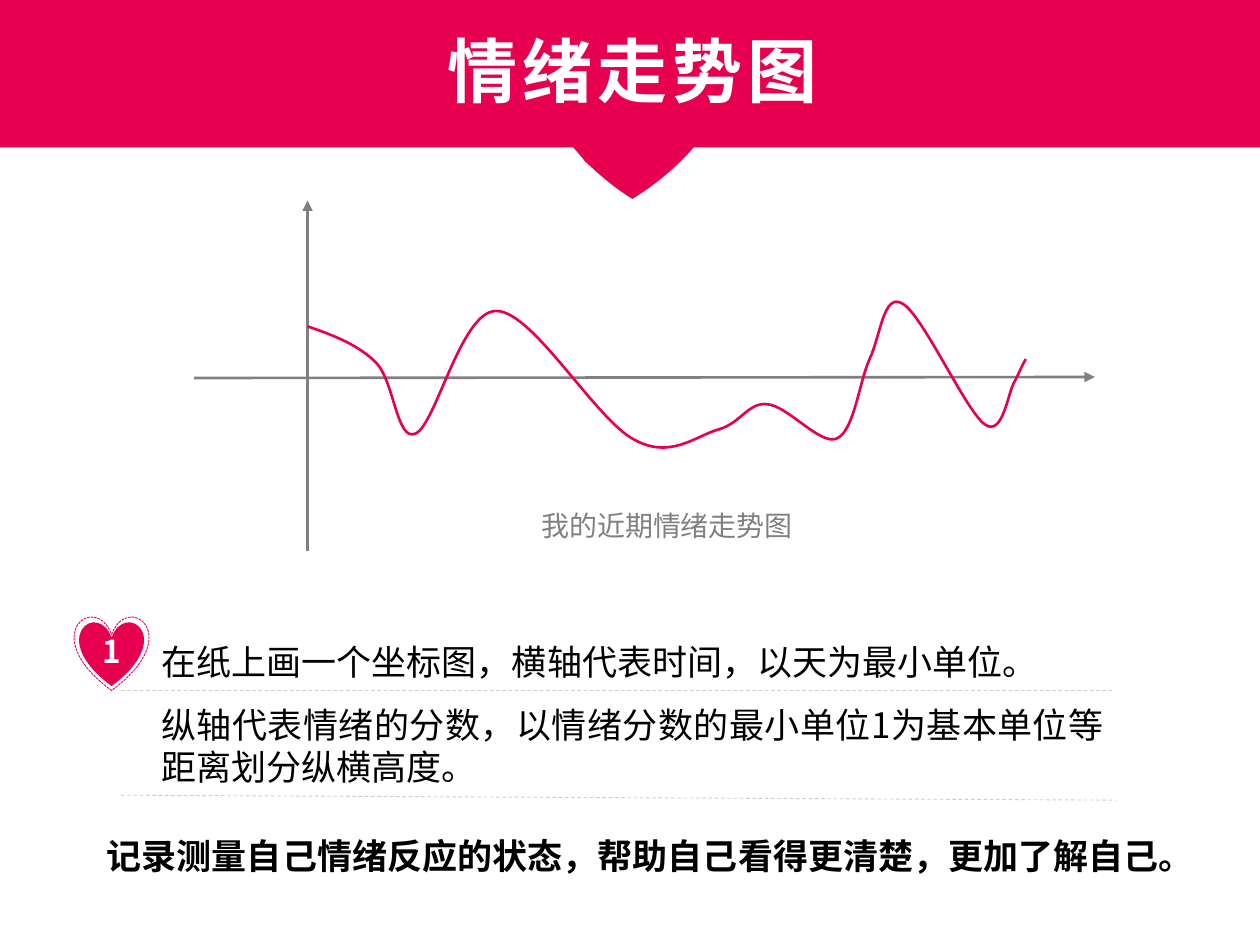
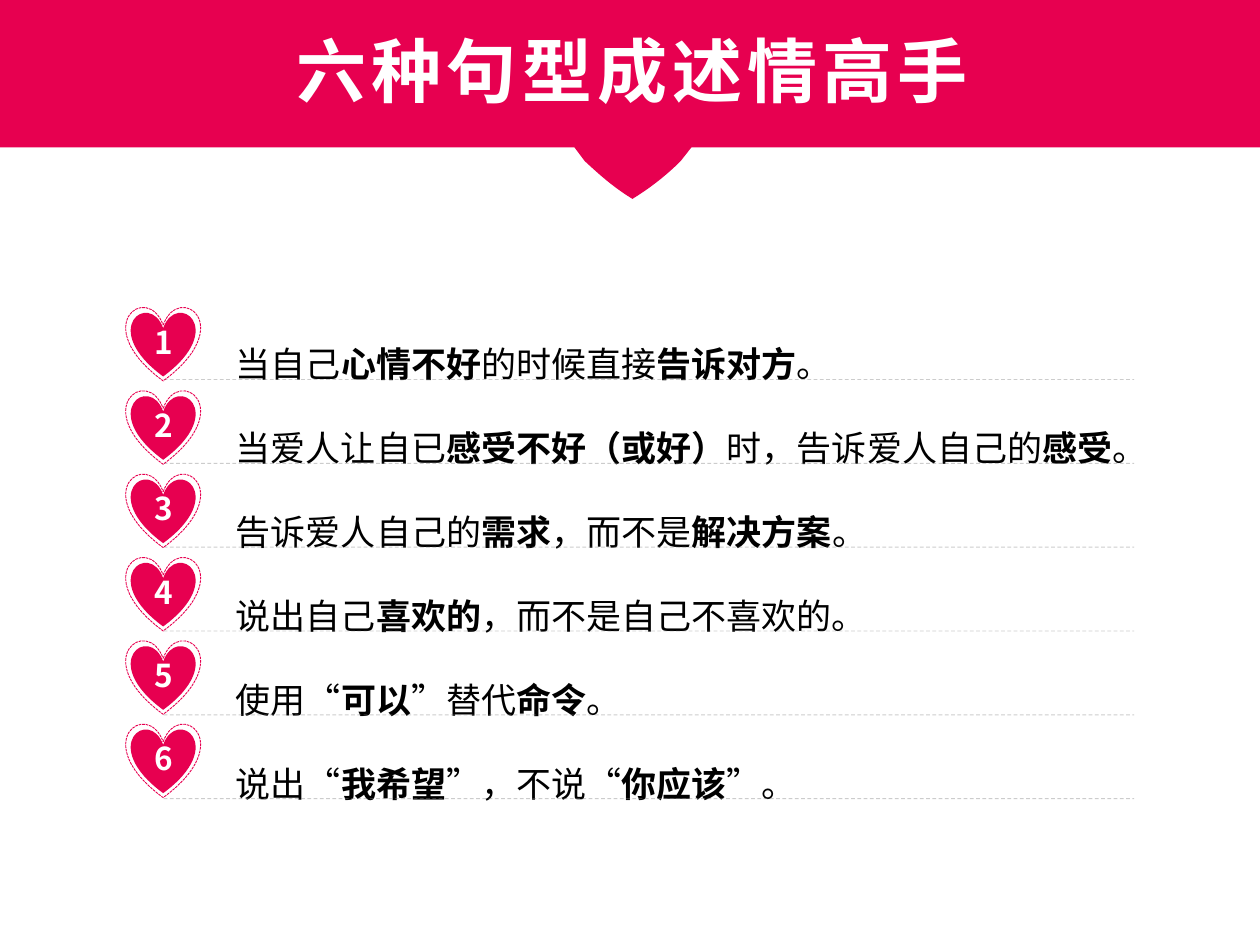
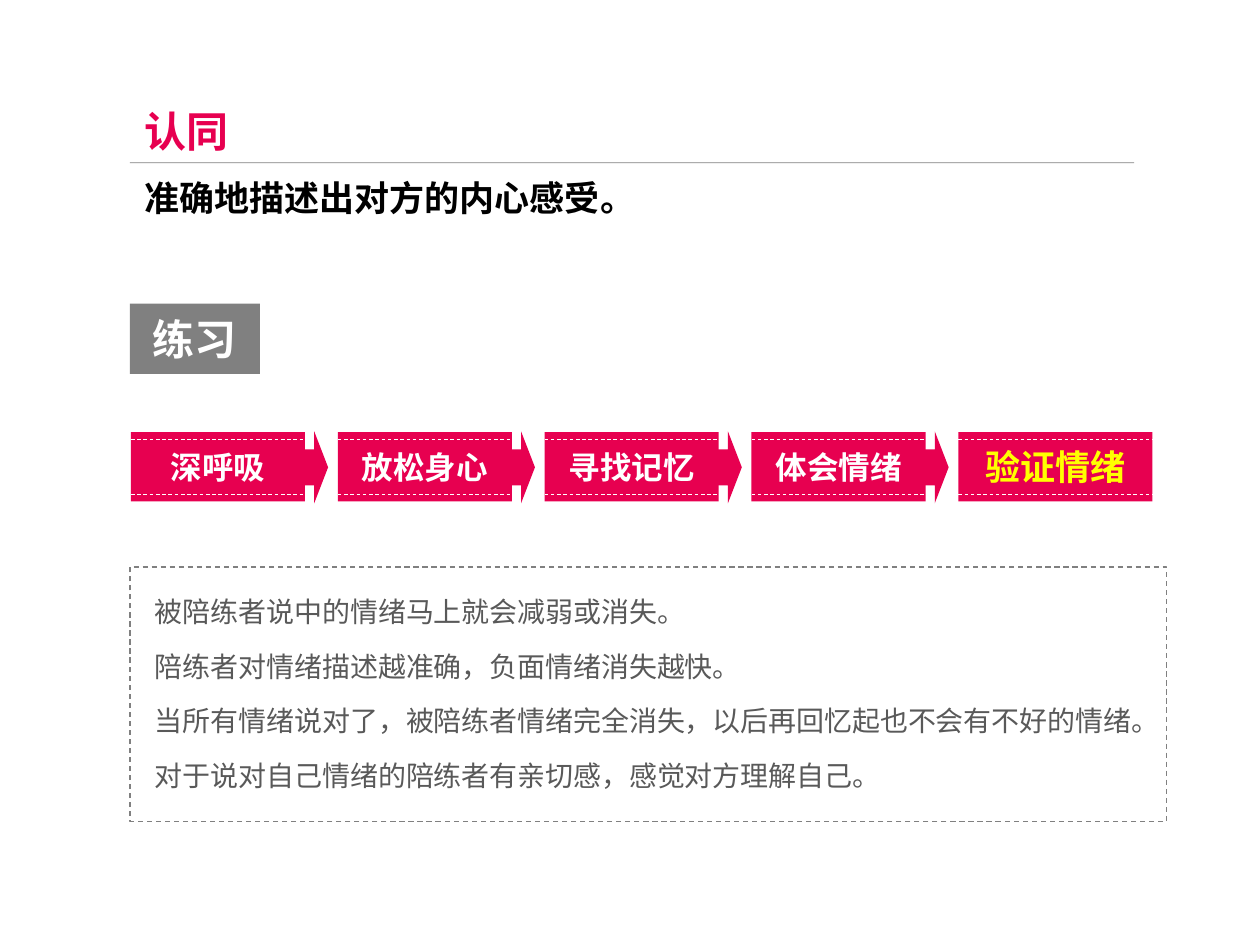
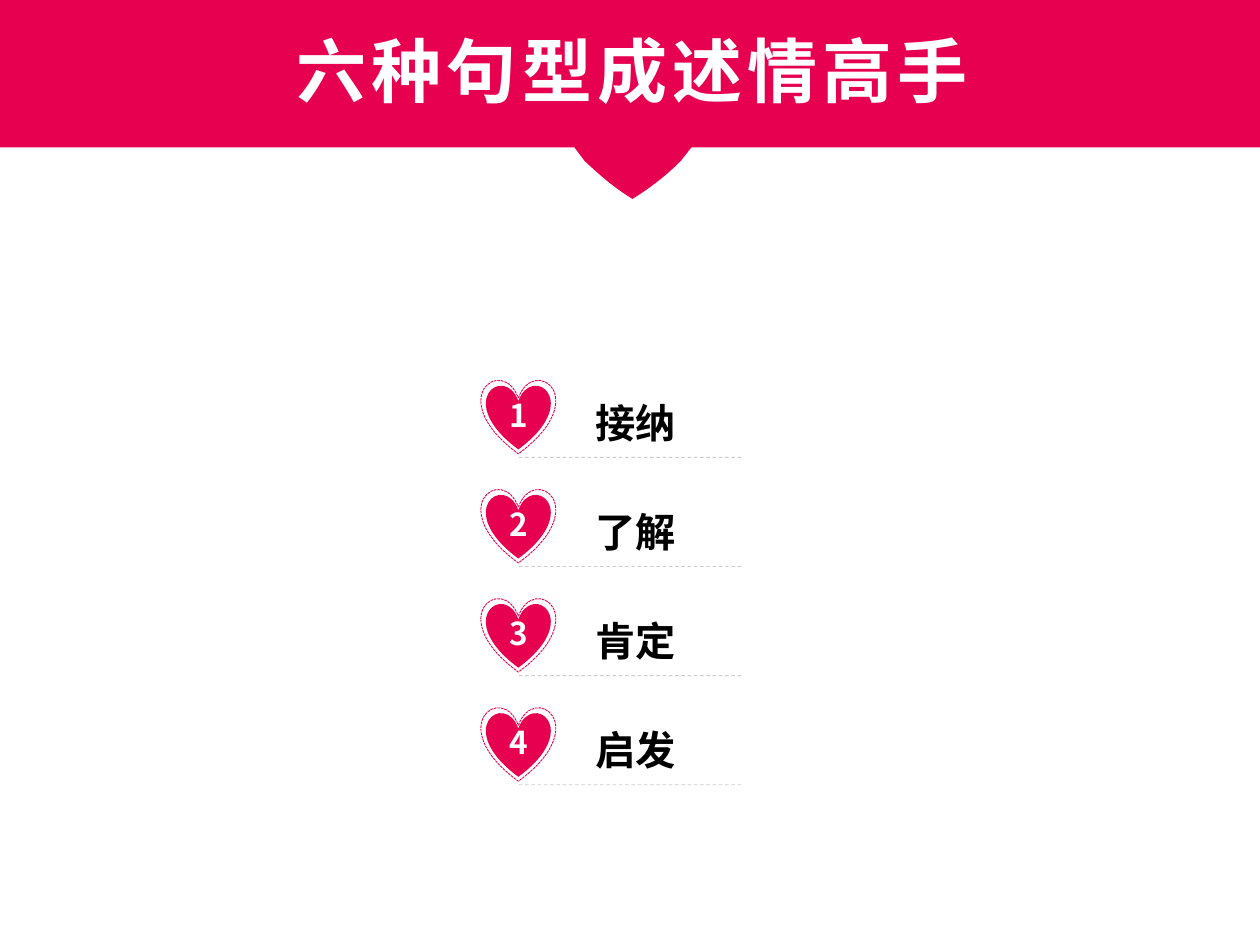
from lxml import etree
from pptx import Presentation
from pptx.dml.color import RGBColor
from pptx.enum.dml import MSO_LINE
from pptx.enum.shapes import MSO_CONNECTOR, MSO_SHAPE
from pptx.enum.text import MSO_ANCHOR, MSO_AUTO_SIZE, PP_ALIGN
from pptx.oxml.ns import qn
from pptx.util import Cm, Pt

LEFT, CENTER, JUSTIFY = PP_ALIGN.LEFT, PP_ALIGN.CENTER, PP_ALIGN.JUSTIFY
TOP, MIDDLE = MSO_ANCHOR.TOP, MSO_ANCHOR.MIDDLE
NO_AUTOFIT = MSO_AUTO_SIZE.NONE
DASH, SHORT_DASH = MSO_LINE.DASH, MSO_LINE.SQUARE_DOT
STRAIGHT = MSO_CONNECTOR.STRAIGHT
HEART, RECTANGLE, DOWN_ARROW = MSO_SHAPE.HEART, MSO_SHAPE.RECTANGLE, MSO_SHAPE.DOWN_ARROW

COLOURS = {
    "rose": "E70050",
    "grey": "808080",
    "dark": "595959",
    "black": "000000",
    "white": "FFFFFF",
    "yellow": "FFFF00",
}
FONT = "Noto Sans CJK SC"


def write(frame, *paragraphs, size, colour="black", bold=False, align=LEFT, anchor=TOP,
          before=0, spacing=1.0, tracking=0, font=FONT):
    frame.word_wrap = True
    frame.auto_size = NO_AUTOFIT
    frame.vertical_anchor = anchor
    for index, text in enumerate(paragraphs):
        paragraph = frame.add_paragraph() if index else frame.paragraphs[0]
        properties = paragraph._p.get_or_add_pPr()
        properties.set("marL", "0")
        properties.set("indent", "0")
        etree.SubElement(properties, qn("a:buNone"))
        paragraph.alignment = align
        paragraph.line_spacing = spacing
        paragraph.space_before = Pt(before if index else 0)
        for part, words in enumerate(text.split("*")):
            if not words:
                continue
            run = paragraph.add_run()
            run.text = words
            run.font.size = Pt(size)
            run.font.bold = bold or part % 2 == 1
            run.font.color.rgb = RGBColor.from_string(COLOURS[colour])
            run.font.name = font
            run_properties = run._r.get_or_add_rPr()
            etree.SubElement(run_properties, qn("a:ea")).set("typeface", font)
            if tracking:
                run_properties.set("spc", str(tracking * 100))


def draw_line(slide, *ends, colour="grey", width=0.5, dash=None, opacity=None, arrow=False):
    connector = slide.shapes.add_connector(STRAIGHT, *map(Cm, ends))
    connector.line.color.rgb = RGBColor.from_string(COLOURS[colour])
    connector.line.width = Pt(width)
    if dash:
        connector.line.dash_style = dash
    stroke = connector.element.xpath(".//a:ln")[0]
    if opacity:
        shade = stroke.xpath(".//a:srgbClr")[0]
        etree.SubElement(shade, qn("a:alpha")).set("val", str(opacity * 1000))
    if arrow:
        etree.SubElement(stroke, qn("a:tailEnd")).set("type", "triangle")
    etree.SubElement(connector.element.spPr, qn("a:effectLst"))


prs = Presentation()
prs.slide_width = Cm(25.4)
prs.slide_height = Cm(19.05)
list_layout, title_layout = prs.slide_layouts[1], prs.slide_layouts[5]
trend = prs.slides.add_slide(list_layout)
sentences = prs.slides.add_slide(list_layout)
approval = prs.slides.add_slide(list_layout)
stages = prs.slides.add_slide(title_layout)

filled = []
outlined = []
curved = []

band_outline = [
    (0, 0), (25.5, 0), (25.5, 2.97), (13.94, 2.97), (13.72, 3.25),
    (13.49, 3.48), (13.16, 3.76), (12.75, 4.01),
    (12.34, 3.76), (12.04, 3.48), (11.79, 3.25),
    (11.58, 2.97), (0, 2.97),
]
for slide, heading in (
    (trend, "情绪走势图"),
    (sentences, "六种句型成述情高手"),
    (stages, "六种句型成述情高手"),
):
    corners = [(Cm(x), Cm(y)) for x, y in band_outline]
    builder = slide.shapes.build_freeform(*corners[0])
    builder.add_line_segments(corners[1:], close=True)
    band = builder.convert_to_shape()
    title = slide.shapes.title
    title.element.addprevious(band.element)
    filled.append((band, "rose"))
    curved.append((band, 4, 10))
    title.left, title.top, title.width, title.height = Cm(5.5), Cm(0.43), Cm(14.5), Cm(1.96)
    write(title.text_frame, heading, size=40, colour="white", bold=True, align=CENTER, tracking=3)

band_heart = trend.shapes.add_shape(HEART, Cm(11.18), Cm(1.32), Cm(3.18), Cm(2.64))
trend.shapes.title.element.addprevious(band_heart.element)
filled.append((band_heart, "rose"))

for slide, box in (
    (trend, (3, 12.78, 19.5, 3.25)),
    (sentences, (4.5, 6.35, 18.36, 10.08)),
    (approval, (2.87, 11.86, 20.37, 4.27)),
):
    body = slide.placeholders[1]
    body.left, body.top, body.width, body.height = map(Cm, box)

write(trend.placeholders[1].text_frame,
      "在纸上画一个坐标图，横轴代表时间，以天为最小单位。",
      "纵轴代表情绪的分数，以情绪分数的最小单位1为基本单位等距离划分纵横高度。",
      size=20, align=JUSTIFY, before=12)

draw_line(trend, 3.91, 7.62, 22.07, 7.6, width=1.5, arrow=True)
draw_line(trend, 6.2, 11.1, 6.2, 4.04, width=1.5, arrow=True)
mood_points = [
    (6.2, 6.58),
    (6.73, 6.76), (7.24, 6.96), (7.59, 7.32),
    (7.95, 7.7), (8, 8.92), (8.38, 8.74),
    (8.79, 8.56), (9.3, 6.25), (10.01, 6.27),
    (10.74, 6.27), (12.01, 8.46), (12.78, 8.86),
    (13.51, 9.27), (14.02, 8.79), (14.48, 8.66),
    (14.94, 8.53), (15.09, 8.1), (15.47, 8.15),
    (15.88, 8.18), (16.54, 8.99), (16.87, 8.84),
    (17.22, 8.69), (17.32, 7.7), (17.53, 7.24),
    (17.75, 6.78), (17.81, 5.89), (18.19, 6.12),
    (18.59, 6.32), (19.48, 8.31), (19.86, 8.56),
    (20.22, 8.81), (20.32, 7.9), (20.45, 7.7),
    (20.57, 7.47), (20.6, 7.37), (20.68, 7.24),
]
mood_points = [(Cm(x), Cm(y)) for x, y in mood_points]
builder = trend.shapes.build_freeform(*mood_points[0])
builder.add_line_segments(mood_points[1:], close=False)
mood = builder.convert_to_shape()
outlined.append((mood, "rose", 1.5, None))
curved.append((mood, 0, len(mood_points) - 1))

caption = trend.shapes.add_textbox(Cm(10.4), Cm(10.13), Cm(6.1), Cm(0.94))
write(caption.text_frame, "我的近期情绪走势图", size=16, colour="grey", align=CENTER, font="Arial")
summary = trend.shapes.add_textbox(Cm(1.9), Cm(16.69), Cm(21.72), Cm(1.12))
write(summary.text_frame, "记录测量自己情绪反应的状态，帮助自己看得更清楚，更加了解自己。",
      size=20, bold=True, align=JUSTIFY)
draw_line(trend, 2.44, 13.92, 22.48, 13.92, dash=DASH, opacity=40)
draw_line(trend, 2.44, 16.03, 22.5, 16.13, dash=DASH, opacity=40)

for row in range(6):
    rule_y = 7.65 + row * 1.69
    draw_line(sentences, 3.3, rule_y, 22.86, rule_y, dash=DASH, opacity=40)
write(sentences.placeholders[1].text_frame,
      "当自己*心情不好*的时候直接*告诉对方*。",
      "当爱人让自已*感受不好（或好）*时，告诉爱人自己的*感受*。",
      "告诉爱人自己的*需求*，而不是*解决方案*。",
      "说出自己*喜欢的*，而不是自己不喜欢的。",
      "使用“*可以*”替代*命令*。",
      "说出“*我希望*”，不说“*你应该*”。",
      size=20, before=12, spacing=1.5)

title = approval.shapes.title
title.left, title.top, title.width, title.height = Cm(2.66), Cm(1.5), Cm(17.9), Cm(1.78)
write(title.text_frame, "认同", size=24, colour="rose", bold=True, spacing=1.5)
meaning = approval.shapes.add_textbox(Cm(2.66), Cm(3.02), Cm(17.9), Cm(1.52))
write(meaning.text_frame, "准确地描述出对方的内心感受。", size=20, bold=True, spacing=1.5)
draw_line(approval, 2.62, 3.28, 22.86, 3.28, colour="black", opacity=50)

exercise = approval.shapes.add_shape(RECTANGLE, Cm(2.62), Cm(6.12), Cm(2.62), Cm(1.42))
filled.append((exercise, "grey"))
write(exercise.text_frame, "练习", size=24, colour="white", bold=True, align=CENTER, anchor=MIDDLE)

steps = ["深呼吸", "放松身心", "寻找记忆", "体会情绪", "验证情绪"]
for index, step in enumerate(steps):
    last = index == len(steps) - 1
    step_left = 2.64 + index * 4.17
    step_width = 3.91 if last else 3.51
    if not last:
        arrow = approval.shapes.add_shape(
            DOWN_ARROW, Cm(step_left + 2.97), Cm(9.14), Cm(1.45), Cm(0.56))
        arrow.rotation = 270
        filled.append((arrow, "rose"))
    block = approval.shapes.add_shape(RECTANGLE, Cm(step_left), Cm(8.71), Cm(step_width), Cm(1.4))
    filled.append((block, "rose"))
    write(block.text_frame, step, size=20 if last else 18, colour="yellow" if last else "white",
          bold=True, align=CENTER, anchor=MIDDLE)
    for stitch_y in (8.86, 9.96):
        draw_line(approval, step_left, stitch_y, step_left + step_width, stitch_y,
                  colour="white", dash=DASH)

effects_frame = approval.shapes.add_shape(RECTANGLE, Cm(2.62), Cm(11.43), Cm(20.9), Cm(5.13))
outlined.append((effects_frame, "grey", 0.75, DASH))
write(approval.placeholders[1].text_frame,
      "被陪练者说中的情绪马上就会减弱或消失。",
      "陪练者对情绪描述越准确，负面情绪消失越快。",
      "当所有情绪说对了，被陪练者情绪完全消失，以后再回忆起也不会有不好的情绪。",
      "对于说对自己情绪的陪练者有亲切感，感觉对方理解自己。",
      size=16, colour="dark", before=12)

for row, stage in enumerate(["接纳", "了解", "肯定", "启发"]):
    stage_label = stages.shapes.add_textbox(Cm(11.76), Cm(7.9 + row * 2.2), Cm(2.9), Cm(1.24))
    write(stage_label.text_frame, stage, size=23, bold=True)
    rule_y = 9.22 + row * 2.2
    draw_line(stages, 10.46, rule_y, 14.94, rule_y, dash=DASH, opacity=40)

for slide, count, heart_left, first_top, pitch in (
    (trend, 1, 1.5, 12.42, 0),
    (sentences, 6, 2.54, 6.18, 1.68),
    (stages, 4, 9.7, 7.65, 2.2),
):
    for row in range(count):
        heart_top = first_top + row * pitch
        number = slide.shapes.add_shape(
            HEART, Cm(heart_left + 0.1), Cm(heart_top + 0.11), Cm(1.3), Cm(1.3))
        filled.append((number, "rose"))
        write(number.text_frame, str(row + 1), size=18, colour="white", bold=True,
              align=CENTER, anchor=MIDDLE)
        rim = slide.shapes.add_shape(HEART, Cm(heart_left), Cm(heart_top), Cm(1.5), Cm(1.5))
        outlined.append((rim, "rose", 0.5, SHORT_DASH))

for shape, colour in filled:
    shape.shadow.inherit = False
    shape.fill.solid()
    shape.fill.fore_color.rgb = RGBColor.from_string(COLOURS[colour])
    shape.line.fill.background()

for shape, colour, width, dash in outlined:
    shape.shadow.inherit = False
    shape.fill.background()
    shape.line.color.rgb = RGBColor.from_string(COLOURS[colour])
    shape.line.width = Pt(width)
    if dash:
        shape.line.dash_style = dash

for shape, first, end in curved:
    outline = shape.element.xpath(".//a:path")[0]
    segments = outline.findall(qn("a:lnTo"))[first:end]
    for start in range(0, len(segments), 3):
        bend, *rest = segments[start:start + 3]
        bend.tag = qn("a:cubicBezTo")
        for segment in rest:
            bend.append(segment[0])
            outline.remove(segment)

prs.save("out.pptx")
